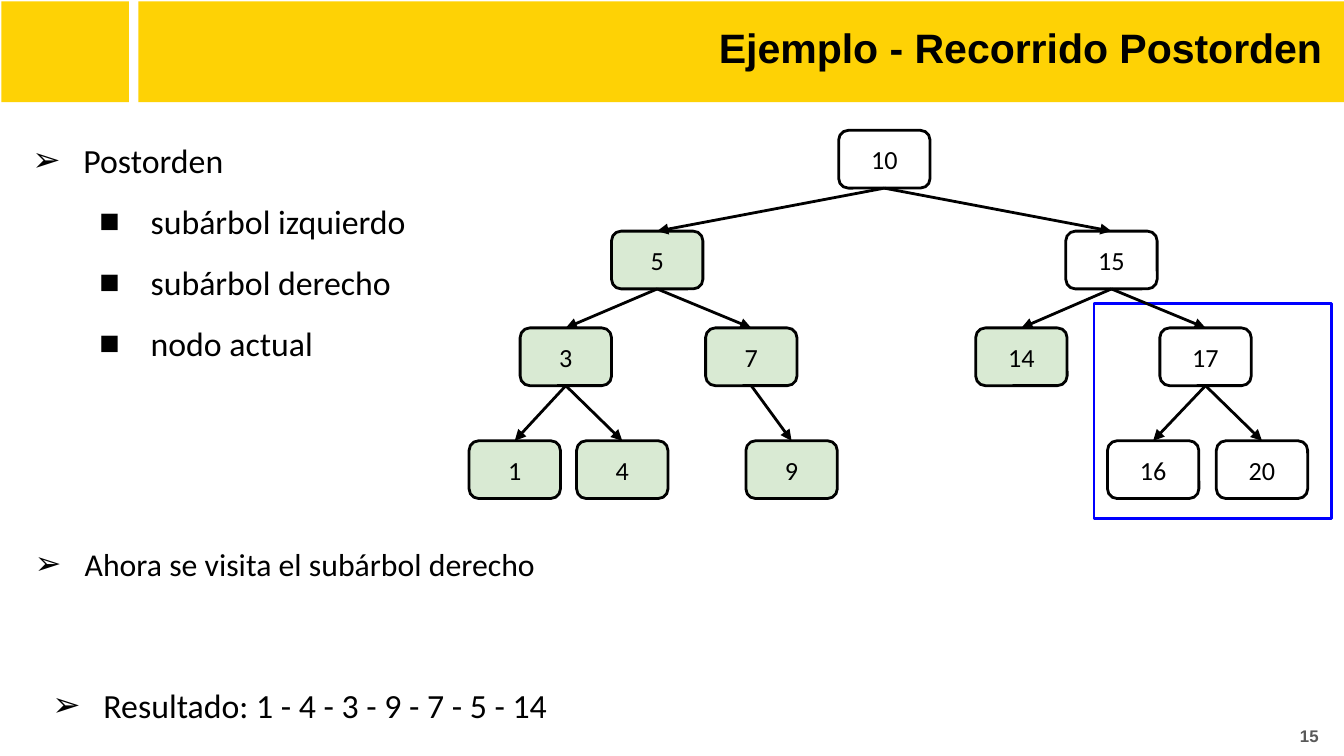
from dataclasses import dataclass

from lxml.etree import SubElement
from pptx import Presentation
from pptx.dml.color import RGBColor
from pptx.enum.shapes import MSO_CONNECTOR as CONN, MSO_SHAPE as SHAPE
from pptx.enum.text import MSO_ANCHOR as ANCHOR, MSO_AUTO_SIZE as AUTO, PP_ALIGN as ALIGN
from pptx.oxml.ns import qn
from pptx.util import Inches, Pt


@dataclass(frozen=True)
class Theme:
    black: str = "000000"
    white: str = "FFFFFF"
    yellow: str = "FED205"
    visited: str = "D9EAD3"
    highlight: str = "0000FF"
    grey: str = "595959"
    heading_font: str = "Arial"
    body_font: str = "Calibri"
    title_size: float = 22
    list_size: float = 18.1
    note_size: float = 17
    node_size: float = 14
    number_size: float = 9
    line_width: float = 1.5


THEME = Theme()
NODE_W, NODE_H = 0.68, 0.43
LEVEL_TOPS = (0.97, 1.72, 2.44, 3.28)
NODES = {
    10: (6.24, 0), 5: (4.55, 1), 15: (7.93, 1),
    3: (3.87, 2), 7: (5.25, 2), 14: (7.26, 2), 17: (8.63, 2),
    1: (3.49, 3), 4: (4.29, 3), 9: (5.55, 3), 16: (8.24, 3), 20: (9.05, 3),
}
CHILDREN = {10: (5, 15), 5: (3, 7), 15: (14, 17), 3: (1, 4), 7: (9,), 17: (16, 20)}
VISITED = (1, 4, 3, 9, 7, 5, 14)
BULLETS = ("➢", "■")


def rgb(value):
    return RGBColor.from_string(value)


def place(sp, box):
    sp.left, sp.top, sp.width, sp.height = map(Inches, box)


def set_frame(tf, anchor, bottom=0.1):
    tf.word_wrap = True
    tf.auto_size = AUTO.NONE
    tf.vertical_anchor = anchor
    tf.margin_left = tf.margin_top = tf.margin_right = Inches(0.1)
    tf.margin_bottom = Inches(bottom)


def format_paragraph(p, font, size, color=THEME.black, bold=False, align=ALIGN.LEFT):
    p.alignment = align
    for r in p.runs:
        r.font.name = font
        r.font.size = Pt(size)
        r.font.bold = bold
        r.font.color.rgb = rgb(color)


def add_box(slide, kind, box, fill=None, line=None):
    sp = slide.shapes.add_shape(kind, *map(Inches, box))
    sp.shadow.inherit = False
    if fill:
        sp.fill.solid()
        sp.fill.fore_color.rgb = rgb(fill)
    else:
        sp.fill.background()
    if line:
        sp.line.color.rgb = rgb(line)
        sp.line.width = Pt(THEME.line_width)
    else:
        sp.line.fill.background()
    return sp


def add_banner(slide, box):
    sp = add_box(slide, SHAPE.RECTANGLE, box, THEME.yellow)
    slide.shapes._spTree.insert(2, sp._element)


def fill_heading(sp, box, text, size, color, anchor):
    place(sp, box)
    tf = sp.text_frame
    set_frame(tf, anchor)
    tf.text = text
    format_paragraph(tf.paragraphs[0], THEME.heading_font, size, color, True, ALIGN.RIGHT)


def set_bullet(p, level, hanging):
    pPr = p._p.get_or_add_pPr()
    pPr.set("marL", str(Inches(0.5 * (level + 1))))
    pPr.set("indent", str(Inches(-hanging)))
    color = SubElement(pPr, qn("a:buClr"))
    SubElement(color, qn("a:srgbClr")).set("val", THEME.black)
    SubElement(pPr, qn("a:buChar")).set("char", BULLETS[level])


def fill_list(sp, box, items, size=THEME.list_size, hanging=0.38):
    place(sp, box)
    tf = sp.text_frame
    set_frame(tf, ANCHOR.TOP, 0.02)
    tf.text = "\n".join(text for text, _ in items)
    for p, (_, level) in zip(tf.paragraphs, items):
        p.level = level
        p.line_spacing = 1.5
        p.space_before = p.space_after = Pt(0)
        format_paragraph(p, THEME.body_font, size)
        set_bullet(p, level, hanging)


def add_node(slide, value):
    left, level = NODES[value]
    fill = THEME.visited if value in VISITED else THEME.white
    box = (left, LEVEL_TOPS[level], NODE_W, NODE_H)
    sp = add_box(slide, SHAPE.ROUNDED_RECTANGLE, box, fill, THEME.black)
    tf = sp.text_frame
    set_frame(tf, ANCHOR.MIDDLE)
    tf.text = str(value)
    format_paragraph(tf.paragraphs[0], THEME.body_font, THEME.node_size, align=ALIGN.CENTER)
    return sp


def add_arrow(slide, parent, child):
    line = slide.shapes.add_connector(CONN.STRAIGHT, 0, 0, 0, 0)
    line.begin_connect(parent, 2)
    line.end_connect(child, 0)
    line.line.color.rgb = rgb(THEME.black)
    line.line.width = Pt(THEME.line_width)
    SubElement(line.line._get_or_add_ln(), qn("a:tailEnd")).set("type", "triangle")
    SubElement(line._element.spPr, qn("a:effectLst"))


def add_tree(slide):
    nodes = {value: add_node(slide, value) for value in NODES}
    for parent, children in CHILDREN.items():
        for child in children:
            add_arrow(slide, nodes[parent], nodes[child])


def main():
    prs = Presentation()
    prs.slide_width = Inches(10)
    prs.slide_height = prs.slide_width * 9 // 16
    slide = prs.slides.add_slide(prs.slide_layouts.get_by_name("Comparison"))
    title, order, note, result, spare = slide.placeholders
    spare._element.getparent().remove(spare._element)

    add_banner(slide, (0.01, 0.01, 0.95, 0.75))
    add_banner(slide, (1.03, 0.01, 8.97, 0.75))
    fill_heading(title, (1.08, 0.07, 8.86, 0.63), "Ejemplo - Recorrido Postorden",
                 THEME.title_size, THEME.black, ANCHOR.TOP)

    steps = [("Postorden", 0), ("subárbol izquierdo", 1),
             ("subárbol derecho", 1), ("nodo actual", 1)]
    fill_list(order, (0.02, 0.79, 4.28, 1.81), steps)
    fill_list(note, (0.03, 3.81, 9.97, 1.81),
              [("Ahora se visita el subárbol derecho", 0)], THEME.note_size, 0.37)
    visited = " - ".join(map(str, VISITED))
    fill_list(result, (0.17, 4.84, 9.49, 0.63), [(f"Resultado: {visited}", 0)])

    add_box(slide, SHAPE.RECTANGLE, (8.14, 2.26, 1.77, 1.6), line=THEME.highlight)
    add_tree(slide)
    number = slide.shapes.add_textbox(0, 0, 0, 0)
    fill_heading(number, (9.47, 5.26, 0.44, 0.43), "15",
                 THEME.number_size, THEME.grey, ANCHOR.MIDDLE)
    prs.save("out.pptx")


if __name__ == "__main__":
    main()
